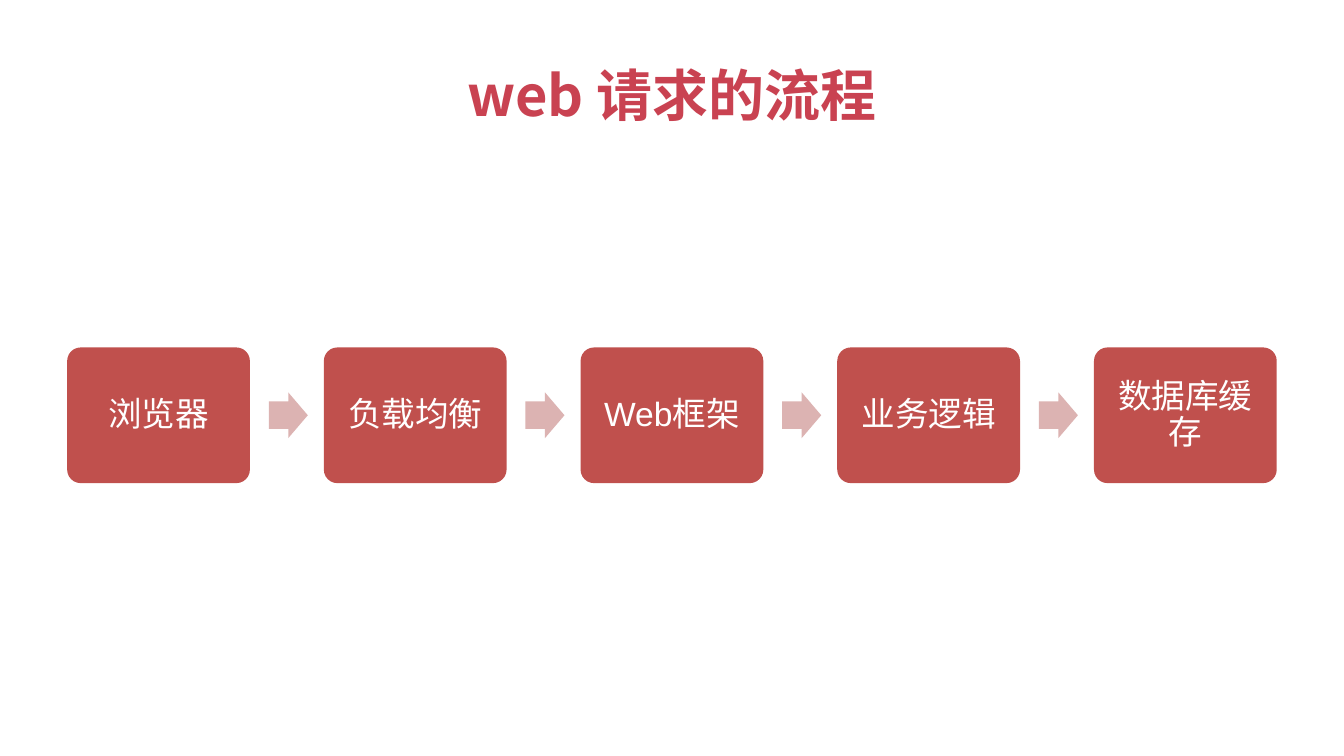
"""Build a slide showing the flow of a web request in five steps."""
from lxml.etree import SubElement
from pptx import Presentation
from pptx.dml.color import RGBColor
from pptx.enum.shapes import MSO_SHAPE
from pptx.enum.text import MSO_ANCHOR, PP_ALIGN
from pptx.oxml.ns import qn
from pptx.util import Inches, Pt


def paint(fmt, color):
    fmt.solid()
    fmt.fore_color.rgb = RGBColor.from_string(color)


def write(sp, text, color, margin, spacing, font):
    tf = sp.text_frame
    tf.word_wrap = True
    tf.vertical_anchor = MSO_ANCHOR.MIDDLE
    for side in ("left", "right", "top", "bottom"):
        setattr(tf, f"margin_{side}", Inches(margin))
    p = tf.paragraphs[0]
    p.alignment = PP_ALIGN.CENTER
    p.line_spacing = spacing
    r = p.add_run()
    r.text = text
    paint(r.font.fill, color)
    for name, value in font.items():
        setattr(r.font, name, value)
    SubElement(r.font._element, qn("a:ea"), typeface=CJK)


CJK = "Noto Sans CJK SC"
TITLE = {"name": CJK, "size": Pt(30), "bold": True}
BODY = {"name": "Arial", "size": Pt(18), "bold": False}
STEPS = ["浏览器", "负载均衡", "Web框架", "业务逻辑", "数据库缓存"]
BOX_W, BOX_H = 1.36, 1.01
LEFT, MIDDLE = 0.5, 3.09
PITCH = (10 - 2 * LEFT - BOX_W) / (len(STEPS) - 1)
ARROW_W, ARROW_H, ARROW_DX = 0.29, 0.34, 1.5

prs = Presentation()
prs.slide_width = Inches(10)
prs.slide_height = Inches(10 * 9 / 16)
s = prs.slides.add_slide(prs.slide_layouts[6])
paint(s.background.fill, "FFFFFF")

title = s.shapes.add_textbox(Inches(0.5), Inches(0.23), Inches(9), Inches(0.94))
write(title, "web 请求的流程", "C94251", 0.05, 1.0, TITLE)

for i, step in enumerate(STEPS):
    x = LEFT + i * PITCH
    parts = [(MSO_SHAPE.ROUNDED_RECTANGLE, x, BOX_W, BOX_H, "C0504D", [0.1], step)]
    if i < len(STEPS) - 1:
        parts.append((MSO_SHAPE.RIGHT_ARROW, x + ARROW_DX, ARROW_W, ARROW_H, "DCB3B2", [0.6, 0.5], ""))
    for kind, left, w, h, color, adjustments, text in parts:
        sp = s.shapes.add_shape(kind, Inches(left), Inches(MIDDLE - h / 2), Inches(w), Inches(h))
        sp.shadow.inherit = False
        sp.line.fill.background()
        paint(sp.fill, color)
        for n, value in enumerate(adjustments):
            sp.adjustments[n] = value
        if text:
            write(sp, text, "FFFFFF", 0.07, 0.9, BODY)

prs.save("out.pptx")
